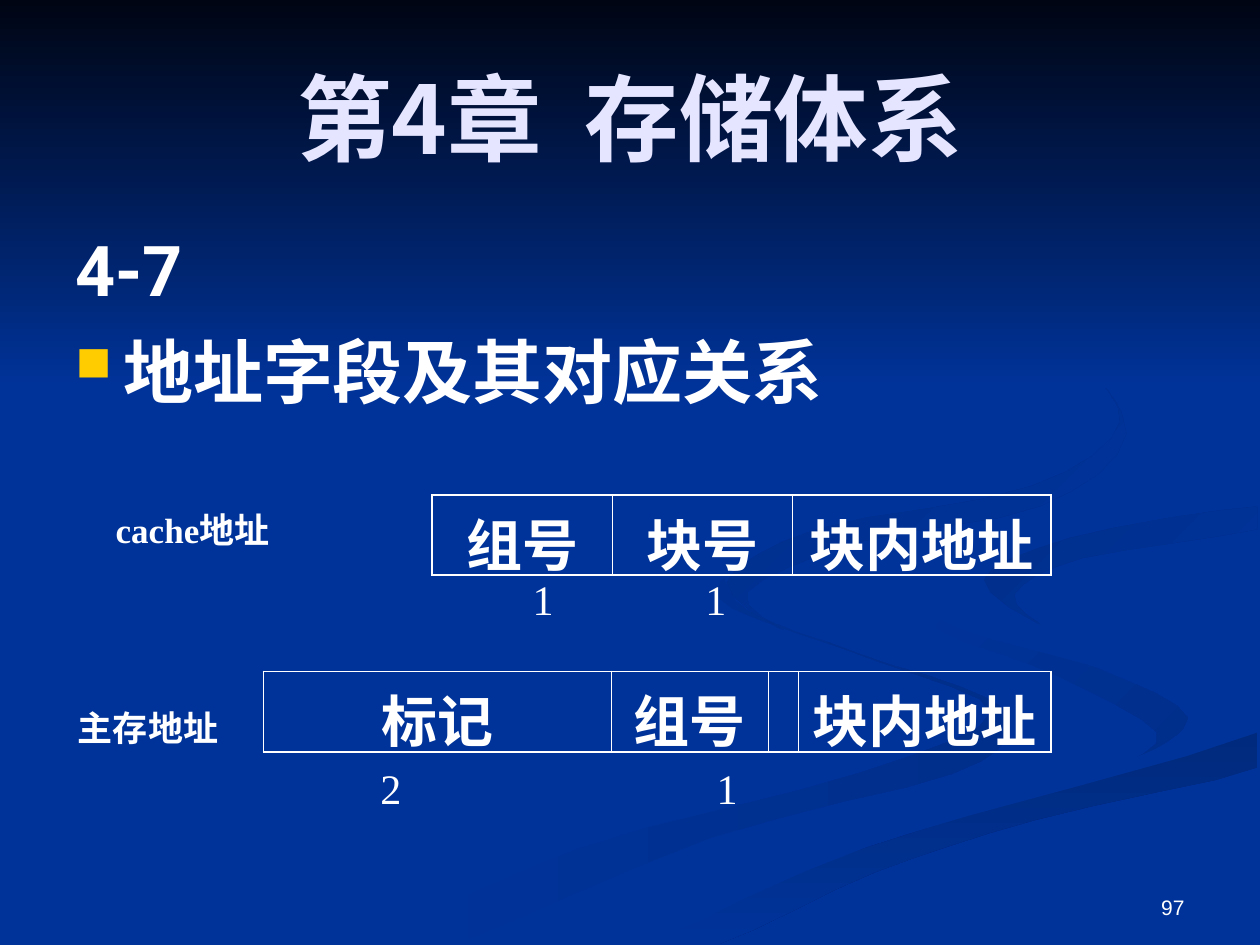
import pptx
import pptx.dml.color
import pptx.enum.text
import pptx.oxml
import pptx.oxml.ns
import pptx.util
from pptx.util import Inches

COLORS = {
    "background": "003399",
    "shade": "000514",
    "ribbon": "002E8B",
    "dark_ribbon": "002A7D",
    "title": "E5E5FF",
    "text": "FFFFFF",
    "bullet": "FFCC00",
}
CJK_FONT = "Noto Sans CJK SC"
BODY_FONT = "Roboto"
LABEL_FONT = "Times New Roman"
ALIGN = pptx.enum.text.PP_ALIGN
ANCHOR = pptx.enum.text.MSO_ANCHOR

RIBBONS = [
    ("background", "ribbon", 0, [
        (781, 553), (682, 519), (594, 485), (575, 459), (581, 483), (697, 525),
        (786, 566), (684, 613), (458, 674), (300, 749), (361, 749), (564, 665),
        (756, 614), (800, 581)]),
    ("background", "ribbon", 45, [
        (943, 570), (870, 530), (758, 498), (724, 464), (746, 500), (838, 536),
        (918, 581), (894, 605)]),
    ("dark_ribbon", "background", 90, [
        (503, 749), (571, 749), (695, 692), (821, 651), (998, 609), (998, 581),
        (797, 638), (630, 693)]),
    ("background", "background", 0, [
        (725, 464), (759, 498), (905, 540), (943, 570), (892, 605), (704, 655),
        (477, 749), (519, 747), (696, 669), (999, 581), (999, 538), (848, 503),
        (781, 463), (865, 424), (999, 402), (999, 387), (770, 427)]),
    ("ribbon", "background", 45, [
        (781, 460), (826, 496), (805, 472), (859, 443), (998, 420), (998, 402),
        (849, 427)]),
    ("ribbon", "background", 45, [
        (683, 430), (825, 402), (894, 344), (843, 275), (762, 233), (846, 279),
        (889, 335), (818, 386), (649, 420), (577, 462), (622, 500), (593, 470)]),
]


def rgb(value):
    return pptx.dml.color.RGBColor.from_string(value)


def add_run(paragraph, text, size, font, color="text", bold=False):
    run = paragraph.add_run()
    run.text = text
    run.font.size = pptx.util.Pt(size)
    run.font.name = font
    run.font.bold = bold
    run.font.color.rgb = rgb(COLORS[color])
    east_asian = pptx.oxml.parse_xml(
        f'<a:ea {pptx.oxml.ns.nsdecls("a")} typeface="{CJK_FONT}"/>')
    run.font._element.find(pptx.oxml.ns.qn("a:latin")).addnext(east_asian)


def add_frame(slide, box, wrap=True, anchor=ANCHOR.TOP):
    frame = slide.shapes.add_textbox(*map(Inches, box)).text_frame
    frame.word_wrap = wrap
    frame.vertical_anchor = anchor
    return frame


def smooth_outline(points, steps=4):
    limits = [(min(axis), max(axis)) for axis in zip(*points)]
    outline = []
    for index in range(len(points)):
        corners = [points[(index + shift) % len(points)] for shift in (-1, 0, 1, 2)]
        for step in range(steps):
            t = step / steps
            outline.append(tuple(
                min(max(b + t * (c - a + t * (2 * a - 5 * b + 4 * c - d
                        + t * (3 * (b - c) + d - a))) / 2, low), high)
                for (a, b, c, d), (low, high) in zip(zip(*corners), limits)))
    return outline


def draw_outline(slide, box, points, first, last, angle):
    builder = slide.shapes.build_freeform(*points[0], scale=Inches(0.01))
    builder.add_line_segments(points[1:], close=True)
    shape = builder.convert_to_shape(*map(Inches, box[:2]))
    shape.shadow.inherit = False
    shape.line.fill.background()
    if first == last:
        shape.fill.solid()
        shape.fill.fore_color.rgb = rgb(COLORS[first])
        return
    shape.fill.gradient()
    shape.fill.gradient_angle = 360 - angle
    for stop, color in zip(shape.fill.gradient_stops, (first, last)):
        stop.color.rgb = rgb(COLORS[color])


def draw_backdrop(slide, box):
    for first, last, angle, points in RIBBONS:
        draw_outline(slide, box, smooth_outline(points), first, last, angle)
    width, height = box[2] * 100, 308
    draw_outline(slide, box, [(0, 0), (0, height), (width, height), (width, 0)],
                 "shade", "background", 90)


def draw_title(slide, box):
    paragraph = add_frame(slide, box, anchor=ANCHOR.MIDDLE).paragraphs[0]
    paragraph.alignment = ALIGN.CENTER
    add_run(paragraph, "第4章  存储体系", 54, CJK_FONT, "title", True)


def draw_body(slide, box):
    frame = add_frame(slide, box)
    heading, item = frame.paragraphs[0], frame.add_paragraph()
    for paragraph, text in ((heading, "4-7"), (item, "地址字段及其对应关系")):
        paragraph.alignment = ALIGN.JUSTIFY
        paragraph.space_before = pptx.util.Pt(10)
        add_run(paragraph, text, 40, BODY_FONT, bold=True)
        properties = paragraph._p.get_or_add_pPr()
        properties.set("marL", str(Inches(0.38)))
        properties.set("indent", str(Inches(-0.38)))
    namespace = pptx.oxml.ns.nsdecls("a")
    for bullet in (
            f'<a:buClr {namespace}><a:srgbClr val="{COLORS["bullet"]}"/></a:buClr>',
            f'<a:buSzPct {namespace} val="70000"/>',
            f'<a:buChar {namespace} char="■"/>'):
        item._p.get_or_add_pPr().append(pptx.oxml.parse_xml(bullet))


def set_borders(cell, widths):
    properties = cell._tc.get_or_add_tcPr()
    for index, (side, width) in enumerate(zip("LRTB", widths)):
        properties.insert(index, pptx.oxml.parse_xml(
            f'<a:ln{side} {pptx.oxml.ns.nsdecls("a")} w="{pptx.util.Pt(width)}">'
            f'<a:solidFill><a:srgbClr val="{COLORS["text"]}"/></a:solidFill>'
            f'</a:ln{side}>'))


def draw_address(slide, box, fields):
    table = slide.shapes.add_table(1, len(fields), *map(Inches, box)).table
    table.first_row = table.horz_banding = False
    outer, inner = 1.08, 0.45
    for index, (text, width) in enumerate(fields):
        table.columns[index].width = Inches(width)
        cell = table.cell(0, index)
        cell.fill.background()
        set_borders(cell, (outer if index == 0 else inner,
                           outer if index == len(fields) - 1 else inner,
                           outer, outer))
        if text:
            paragraph = cell.text_frame.paragraphs[0]
            paragraph.alignment = ALIGN.CENTER
            paragraph.space_before = pptx.util.Pt(8)
            add_run(paragraph, text, 32, BODY_FONT, bold=True)


def draw_label(slide, box, text, size, bold=False):
    paragraph = add_frame(slide, box, wrap=False).paragraphs[0]
    add_run(paragraph, text, size, LABEL_FONT, bold=bold)


def draw_page_number(slide, box):
    paragraph = add_frame(slide, box, anchor=ANCHOR.BOTTOM).paragraphs[0]
    paragraph.alignment = ALIGN.RIGHT
    add_run(paragraph, "97", 12, "Arial")


def main():
    presentation = pptx.Presentation()
    presentation.slide_width, presentation.slide_height = Inches(10), Inches(7.5)
    slide = presentation.slides.add_slide(presentation.slide_layouts[6])
    slide.background.fill.solid()
    slide.background.fill.fore_color.rgb = rgb(COLORS["background"])
    draw_backdrop(slide, (0, 0, 10, 7.5))
    draw_page_number(slide, (7.17, 6.83, 2.33, 0.52))
    draw_title(slide, (0.5, 0.3, 9, 1.25))
    draw_body(slide, (0.5, 1.75, 9, 4.95))
    draw_address(slide, (3.43, 3.93, 4.91, 0.63),
                 [("组号", 1.43), ("块号", 1.43), ("块内地址", 2.05)])
    draw_address(slide, (2.09, 5.33, 6.25, 0.64),
                 [("标记", 2.76), ("组号", 1.25), ("", 0.24), ("块内地址", 2)])
    for left, top, text in ((4.13, 4.5, "1"), (5.5, 4.5, "1"),
                            (2.92, 6, "2"), (5.59, 6, "1")):
        draw_label(slide, (left, top, 0.36, 0.5), text, 24)
    draw_label(slide, (0.82, 3.99, 1.63, 0.44), "cache地址", 20, True)
    draw_label(slide, (0.52, 5.56, 1.31, 0.44), "主存地址", 20, True)
    presentation.save("out.pptx")


if __name__ == "__main__":
    main()
